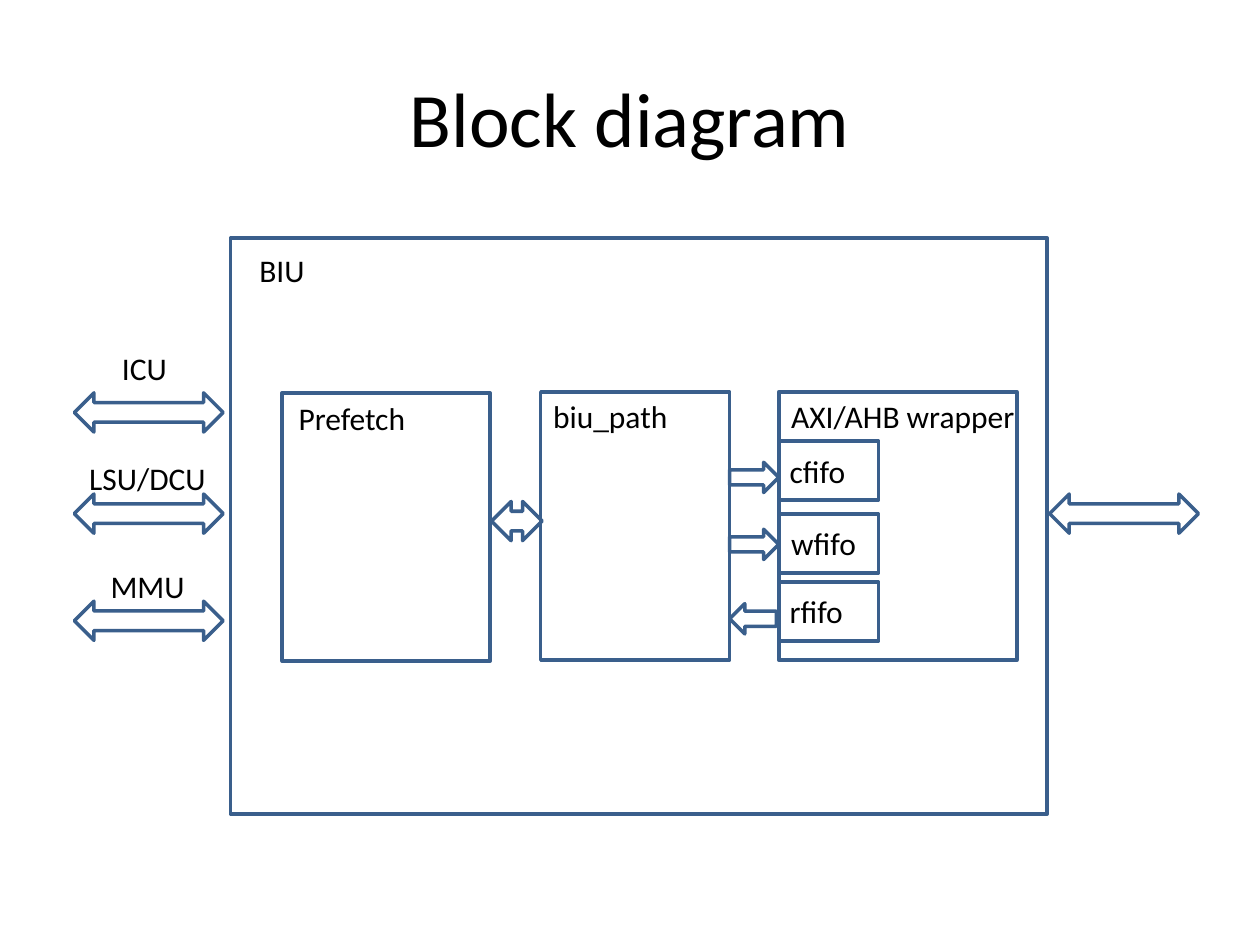
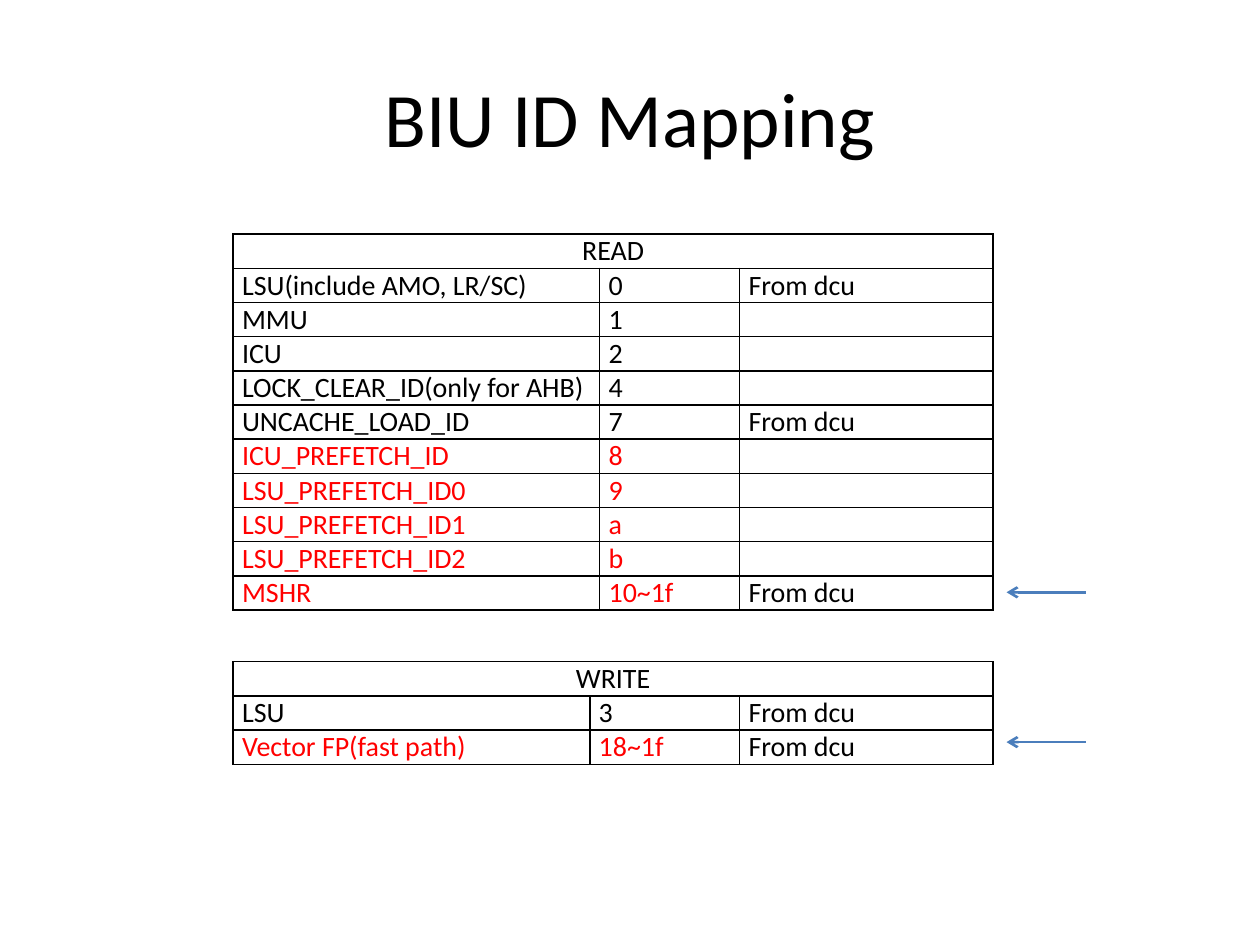
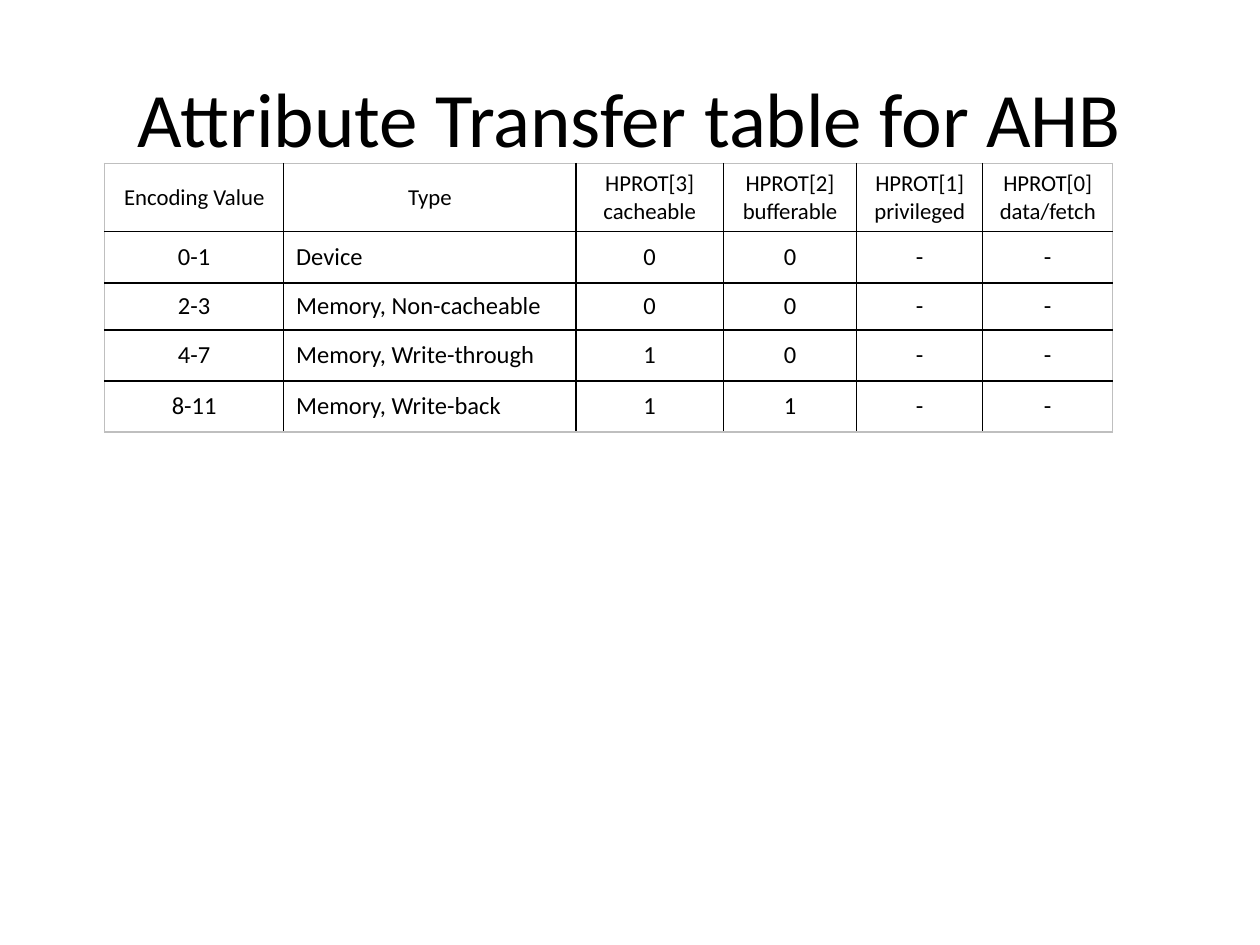
from dataclasses import dataclass

from lxml import etree
from pptx import Presentation
from pptx.dml.color import RGBColor
from pptx.enum.shapes import MSO_CONNECTOR, MSO_SHAPE
from pptx.enum.text import MSO_ANCHOR, PP_ALIGN
from pptx.oxml.ns import qn
from pptx.slide import Slide
from pptx.table import Table
from pptx.text.text import TextFrame
from pptx.util import Cm, Pt

BLACK = RGBColor(0x00, 0x00, 0x00)
RED = RGBColor(0xFF, 0x00, 0x00)
GRAY = RGBColor(0xBF, 0xBF, 0xBF)
NAVY = RGBColor(0x3A, 0x5F, 0x8C)
BLUE = RGBColor(0x4B, 0x7E, 0xBC)
FONT = "Calibri"
LEFT = PP_ALIGN.LEFT
CENTER = PP_ALIGN.CENTER
TOP = MSO_ANCHOR.TOP
MIDDLE = MSO_ANCHOR.MIDDLE
RECT = MSO_SHAPE.RECTANGLE
BOTH = MSO_SHAPE.LEFT_RIGHT_ARROW
RIGHT = MSO_SHAPE.RIGHT_ARROW
BACK = MSO_SHAPE.LEFT_ARROW
STRAIGHT = MSO_CONNECTOR.STRAIGHT


@dataclass
class Outline:
    kind: MSO_SHAPE
    x: float
    y: float
    w: float
    h: float


@dataclass
class Label:
    text: str
    x: float
    y: float
    w: float


@dataclass
class Entry:
    name: str
    code: str
    note: str = ""
    ink: RGBColor = BLACK


@dataclass
class Item:
    text: str
    size: float
    ink: RGBColor = BLACK
    align: PP_ALIGN = LEFT


BLOCK_Y, BLOCK_H = 7.9, 5.41
PORT_W, PORT_H = 3, 0.79
PORT_Y = 9.96
WRAP_X = 15.7
GAP_X = 14.71

OUTLINES = [
    Outline(RECT, 4.65, 4.8, 16.46, 11.61),
    Outline(RECT, 5.69, 7.92, 4.19, BLOCK_H),
    Outline(RECT, 10.9, BLOCK_Y, 3.81, BLOCK_H),
    Outline(RECT, WRAP_X, BLOCK_Y, 4.8, BLOCK_H),
    *[Outline(RECT, WRAP_X, y, 2.01, 1.19) for y in (8.89, 10.36, 11.73)],
    *[Outline(BOTH, 1.5, y, PORT_W, PORT_H) for y in (7.92, PORT_Y, 12.12)],
    Outline(BOTH, 21.16, PORT_Y, PORT_W, PORT_H),
    Outline(BOTH, 9.91, 10.11, 1.02, PORT_H),
    Outline(RIGHT, GAP_X, 9.32, 0.99, 0.61),
    Outline(RIGHT, GAP_X, 10.67, 0.99, 0.61),
    Outline(BACK, GAP_X, 12.17, 0.94, 0.61),
]

LABELS = [
    Label("BIU", 4.98, 4.93, 1.42),
    Label("Prefetch", 5.77, 7.92, 2.69),
    Label("biu_path", 10.9, 7.87, 2.84),
    Label("AXI/AHB wrapper", WRAP_X, 7.87, 5.05),
    Label("cfifo", 15.67, 8.99, 1.65),
    Label("wfifo", WRAP_X, 10.44, 1.83),
    Label("rfifo", 15.67, 11.81, 1.6),
    Label("ICU", 2.21, 6.91, 1.42),
    Label("LSU/DCU", 1.55, 9.12, 2.9),
    Label("MMU", 1.98, 11.3, 2.01),
]

READS = [
    Entry("LSU(include AMO, LR/SC)", "0", "From dcu"),
    Entry("MMU", "1"),
    Entry("ICU", "2"),
    Entry("LOCK_CLEAR_ID(only for AHB)", "4"),
    Entry("UNCACHE_LOAD_ID", "7", "From dcu"),
    Entry("ICU_PREFETCH_ID", "8", ink=RED),
    Entry("LSU_PREFETCH_ID0", "9", ink=RED),
    Entry("LSU_PREFETCH_ID1", "a", ink=RED),
    Entry("LSU_PREFETCH_ID2", "b", ink=RED),
    Entry("MSHR", "10~1f", "From dcu", RED),
]
WRITES = [
    Entry("LSU", "3", "From dcu"),
    Entry("Vector FP(fast path)", "18~1f", "From dcu", RED),
]

HEADS = [
    "Encoding Value", "Type", "HPROT[3]\ncacheable", "HPROT[2]\nbufferable",
    "HPROT[1]\nprivileged", "HPROT[0]\ndata/fetch",
]
TYPES = [
    ("0-1", "Device", "0", "0", "-", "-"),
    ("2-3", "Memory, Non-cacheable", "0", "0", "-", "-"),
    ("4-7", "Memory, Write-through", "1", "0", "-", "-"),
    ("8-11", "Memory, Write-back", "1", "1", "-", "-"),
]


def write(frame: TextFrame, text: str, *, size: float = 18,
          ink: RGBColor = BLACK, align: PP_ALIGN = LEFT) -> None:
    for i, line in enumerate(text.split("\n")):
        para = frame.add_paragraph() if i else frame.paragraphs[0]
        para.alignment = align
        if line:
            run = para.add_run()
            run.text = line
            run.font.name = FONT
            run.font.size = Pt(size)
            run.font.color.rgb = ink
        else:
            etree.SubElement(para._p, qn("a:endParaRPr"), sz=str(size * 100))


def add_page(deck: Presentation, title: str) -> Slide:
    slide = deck.slides.add_slide(deck.slide_layouts[6])
    box = slide.shapes.add_textbox(Cm(1.27), Cm(0.76), Cm(22.86), Cm(3.18))
    box.text_frame.word_wrap = True
    box.text_frame.vertical_anchor = MIDDLE
    write(box.text_frame, title, size=44, align=CENTER)
    return slide


def draw_outline(slide: Slide, part: Outline) -> None:
    shape = slide.shapes.add_shape(
        part.kind, Cm(part.x), Cm(part.y), Cm(part.w), Cm(part.h))
    shape.shadow.inherit = False
    shape.fill.background()
    shape.line.color.rgb = NAVY
    shape.line.width = Pt(2)


def draw_label(slide: Slide, label: Label) -> None:
    box = slide.shapes.add_textbox(
        Cm(label.x), Cm(label.y), Cm(label.w), Cm(1.02))
    box.text_frame.word_wrap = False
    write(box.text_frame, label.text)


def draw_arrow(slide: Slide, y: float) -> None:
    arrow = slide.shapes.add_connector(
        STRAIGHT, Cm(21.89), Cm(y), Cm(20.29), Cm(y))
    arrow.line.color.rgb = BLUE
    arrow.line.width = Pt(1.5)
    etree.SubElement(arrow.line._get_or_add_ln(), qn("a:tailEnd"), type="arrow")
    etree.SubElement(arrow._element.spPr, qn("a:effectLst"))


def add_border(props: etree._Element, side: str, ink: RGBColor) -> None:
    line = etree.SubElement(props, qn(f"a:ln{side}"), w=str(Pt(1)))
    fill = etree.SubElement(line, qn("a:solidFill"))
    etree.SubElement(fill, qn("a:srgbClr"), val=str(ink))


def draw_grid(slide: Slide, x: float, y: float, cols: list[float],
              rows: list[float], items: list[list[Item]], *,
              edge: RGBColor = BLACK, anchor: MSO_ANCHOR = TOP,
              pad: tuple[float, float] = (0.25, 0.13)) -> Table:
    table = slide.shapes.add_table(
        len(rows), len(cols), Cm(x), Cm(y), Cm(sum(cols)), Cm(sum(rows))).table
    table.first_row = table.horz_banding = False
    for col, width in zip(table.columns, cols):
        col.width = Cm(width)
    for r, (height, line) in enumerate(zip(rows, items)):
        table.rows[r].height = Cm(height)
        for c, item in enumerate(line):
            cell = table.cell(r, c)
            cell.margin_left = cell.margin_right = Cm(pad[0])
            cell.margin_top = cell.margin_bottom = Cm(pad[1])
            cell.vertical_anchor = anchor
            write(cell.text_frame, item.text, size=item.size,
                  ink=item.ink, align=item.align)
            outer = {"L": c == 0, "R": c == len(cols) - 1,
                     "T": r == 0, "B": r == len(rows) - 1}
            for side, ends in outer.items():
                add_border(cell._tc.get_or_add_tcPr(), side,
                           edge if ends else BLACK)
            cell.fill.background()
    return table


def draw_map(slide: Slide, y: float, title: str, cols: list[float],
             data: list[Entry]) -> None:
    items = [[Item(title, 16, align=CENTER), Item("", 16), Item("", 16)]]
    items += [[Item(e.name, 16, e.ink), Item(e.code, 16, e.ink),
               Item(e.note, 16)] for e in data]
    table = draw_grid(slide, 4.7, y, cols, [0.69] * len(items), items,
                      pad=(0.18, 0))
    table.cell(0, 0).merge(table.cell(0, 2))


def build_blocks(deck: Presentation) -> None:
    slide = add_page(deck, "Block diagram")
    for part in OUTLINES:
        draw_outline(slide, part)
    for label in LABELS:
        draw_label(slide, label)


def build_maps(deck: Presentation) -> None:
    slide = add_page(deck, "BIU ID Mapping")
    draw_map(slide, 4.72, "READ", [7.39, 2.82, 5.11], READS)
    draw_map(slide, 13.34, "WRITE", [7.19, 3.02, 5.11], WRITES)
    for y in (11.94, 14.96):
        draw_arrow(slide, y)


def build_types(deck: Presentation) -> None:
    slide = add_page(deck, "Attribute Transfer table for AHB")
    items = [[Item(head, 13, align=CENTER) for head in HEADS]]
    items += [[Item(text, 14, align=LEFT if c == 1 else CENTER)
               for c, text in enumerate(line)] for line in TYPES]
    draw_grid(slide, 2.11, 3.3, [3.61, 5.89, 2.97, 2.69, 2.54, 2.62],
              [1.37, 1.03, 0.95, 1.03, 1.03], items, edge=GRAY, anchor=MIDDLE)


def main() -> None:
    deck = Presentation()
    deck.slide_width, deck.slide_height = Cm(25.4), Cm(19.05)
    build_blocks(deck)
    build_maps(deck)
    build_types(deck)
    deck.save("out.pptx")


if __name__ == "__main__":
    main()
